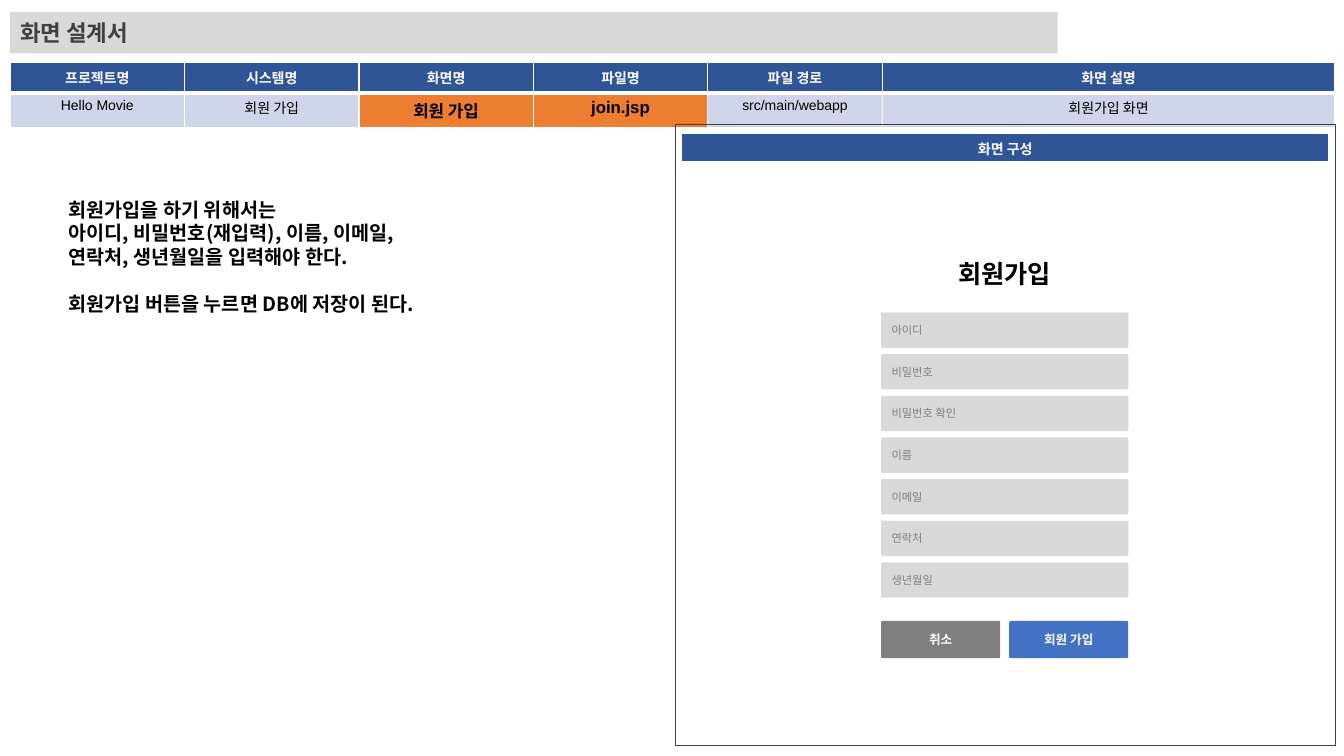
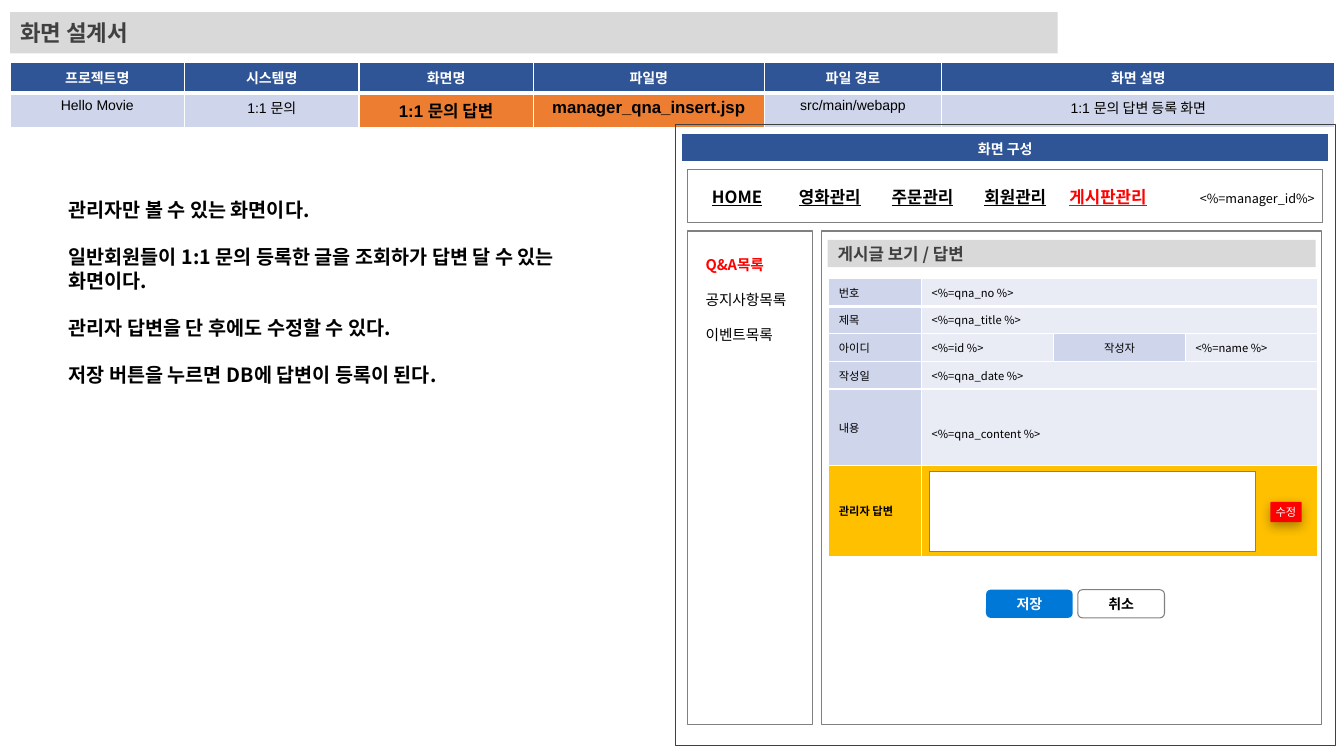
from dataclasses import dataclass, replace

from lxml import etree
from pptx import Presentation
from pptx.dml.color import RGBColor
from pptx.enum.shapes import MSO_SHAPE as Shape
from pptx.enum.text import MSO_ANCHOR as Anchor, MSO_AUTO_SIZE as AutoSize, PP_ALIGN as Align
from pptx.oxml.ns import qn
from pptx.util import Inches, Pt

BLACK = RGBColor(0x00, 0x00, 0x00)
WHITE = RGBColor(0xFF, 0xFF, 0xFF)
CHARCOAL = RGBColor(0x40, 0x40, 0x40)
GRAY = RGBColor(0x80, 0x80, 0x80)
SILVER = RGBColor(0xD9, 0xD9, 0xD9)
NAVY = RGBColor(0x2F, 0x55, 0x97)
BLUE = RGBColor(0x44, 0x72, 0xC4)
SAVE_BLUE = RGBColor(0x00, 0x78, 0xD7)
LABEL_BLUE = RGBColor(0xCF, 0xD5, 0xEA)
VALUE_BLUE = RGBColor(0xE9, 0xEB, 0xF5)
ORANGE = RGBColor(0xED, 0x7D, 0x31)
AMBER = RGBColor(0xFF, 0xC0, 0x00)
RED = RGBColor(0xFF, 0x00, 0x00)

KOREAN_FONT = "Noto Sans CJK KR"


@dataclass(frozen=True)
class Style:
    size: float
    color: RGBColor = BLACK
    bold: bool = False
    font: str = KOREAN_FONT
    align: Align = Align.LEFT
    underline: bool = False


@dataclass(frozen=True)
class Box:
    left: float
    top: float
    width: float
    height: float

    def lengths(self) -> tuple:
        return tuple(Inches(n) for n in (self.left, self.top, self.width, self.height))


@dataclass(frozen=True)
class Screen:
    system: str
    name: str
    file: str
    summary: str
    column_widths: tuple
    description: tuple  # (text, starts a new block)
    description_height: float


TITLE = Style(16, CHARCOAL, True)
DESCRIPTION = Style(14, bold=True)
HEADER = Style(10, WHITE, True, "Arial", Align.CENTER)
INFO = replace(HEADER, color=BLACK, bold=False)
KEY_INFO = replace(INFO, size=12, bold=True)
PANEL_HEADER = replace(HEADER, font=KOREAN_FONT)
FIELD = Style(8, GRAY)
FORM_BUTTON = replace(HEADER, size=9)
MENU = Style(12, bold=True, align=Align.CENTER, underline=True)
SIDE_MENU = Style(10.5)
DETAIL = Style(8)
BUTTON = Style(10, WHITE, True, "Karla", Align.CENTER)

INFO_HEADERS = ("프로젝트명", "시스템명", "화면명", "파일명", "파일 경로", "화면 설명")
FIELDS = ("아이디", "비밀번호", "비밀번호 확인", "이름", "이메일", "연락처", "생년월일")
MENU_ITEMS = ("HOME", "영화관리", "주문관리", "회원관리", "게시판관리")
DETAIL_ROWS = (
    ("번호", "<%=qna_no %>"),
    ("제목", "<%=qna_title %>"),
    ("아이디", "<%=id %>", "작성자", "<%=name %>"),
    ("작성일", "<%=qna_date %>"),
    ("내용", "<%=qna_content %>"),
    ("관리자 답변", ""),
)

JOIN = Screen(
    "회원 가입", "회원 가입", "join.jsp", "회원가입 화면",
    (1.73, 1.73, 1.73, 1.73, 1.73, 4.49),
    (
        ("회원가입을 하기 위해서는", False),
        ("아이디, 비밀번호(재입력), 이름, 이메일,", False),
        ("연락처, 생년월일을 입력해야 한다.", False),
        ("회원가입 버튼을 누르면 DB에 저장이 된다.", True),
    ),
    1.26,
)
ANSWER = Screen(
    "1:1 문의", "1:1 문의 답변", "manager_qna_insert.jsp", "1:1 문의 답변 등록 화면",
    (1.73, 1.73, 1.73, 2.29, 1.76, 3.9),
    (
        ("관리자만 볼 수 있는 화면이다.", False),
        ("일반회원들이 1:1 문의 등록한 글을 조회하가 답변 달 수 있는 화면이다.", True),
        ("관리자 답변을 단 후에도 수정할 수 있다.", True),
        ("저장 버튼을 누르면 DB에 답변이 등록이 된다.", True),
    ),
    1.95,
)


def write(paragraph, text: str, style: Style, space_before: float = 0) -> None:
    paragraph.alignment = style.align
    paragraph.space_before = Pt(space_before)
    run = paragraph.add_run()
    run.text = text
    font = run.font
    font.size, font.bold, font.name = Pt(style.size), style.bold, style.font
    font.color.rgb = style.color
    if style.underline:
        font.underline = True
    east_asian = etree.SubElement(run._r.get_or_add_rPr(), qn("a:ea"))
    east_asian.set("typeface", KOREAN_FONT)


def clear_insets(frame) -> None:
    frame.margin_left = frame.margin_right = frame.margin_top = frame.margin_bottom = 0


def add_box(slide, box: Box, text: str = "", style: Style = DETAIL, fill: RGBColor | None = None,
            line: RGBColor | None = None, weight: float = 1, corner: float | None = None):
    """Draw a rectangle, rounded if a corner ratio is given."""
    kind = Shape.RECTANGLE if corner is None else Shape.ROUNDED_RECTANGLE
    shape = slide.shapes.add_shape(kind, *box.lengths())
    shape.shadow.inherit = False
    if corner is not None:
        shape.adjustments[0] = corner
    if fill is None:
        shape.fill.background()
    else:
        shape.fill.solid()
        shape.fill.fore_color.rgb = fill
    if line is None:
        shape.line.fill.background()
    else:
        shape.line.color.rgb = line
        shape.line.width = Pt(weight)
    if text:
        frame = shape.text_frame
        frame.word_wrap = True
        frame.vertical_anchor = Anchor.MIDDLE
        write(frame.paragraphs[0], text, style)
    return shape


def add_text(slide, box: Box, text: str, style: Style, inset: bool = True):
    frame = slide.shapes.add_textbox(*box.lengths()).text_frame
    frame.word_wrap = True
    if not inset:
        clear_insets(frame)
    write(frame.paragraphs[0], text, style)
    return frame


def add_table(slide, left: float, top: float, widths: tuple, heights: tuple):
    box = Box(left, top, sum(widths), sum(heights))
    table = slide.shapes.add_table(len(heights), len(widths), *box.lengths()).table
    table.first_row = table.horz_banding = False
    for column, width in zip(table.columns, widths):
        column.width = Inches(width)
    for row, height in zip(table.rows, heights):
        row.height = Inches(height)
    return table


def fill_cell(cell, text: str, style: Style, fill: RGBColor, top: float = 1, bottom: float = 1,
              anchor: Anchor = Anchor.TOP) -> None:
    """Fill a cell and give it white borders; top and bottom are points."""
    cell.vertical_anchor = anchor
    properties = cell._tc.get_or_add_tcPr()
    for side, width in (("L", 1), ("R", 1), ("T", top), ("B", bottom)):
        border = etree.SubElement(properties, qn(f"a:ln{side}"), w=str(Pt(width)))
        color = etree.SubElement(border, qn("a:solidFill"))
        etree.SubElement(color, qn("a:srgbClr"), val=str(WHITE))
    cell.fill.solid()
    cell.fill.fore_color.rgb = fill
    paragraph = cell.text_frame.paragraphs[0]
    if text:
        write(paragraph, text, style)
    else:
        paragraph.font.size = Pt(style.size)


def add_description(placeholder, screen: Screen) -> None:
    box = Box(0.58, 1.91, 5.17, screen.description_height)
    placeholder.left, placeholder.top, placeholder.width, placeholder.height = box.lengths()
    frame = placeholder.text_frame
    frame.auto_size = AutoSize.NONE
    for index, (text, new_block) in enumerate(screen.description):
        paragraph = frame.add_paragraph() if index else frame.paragraphs[0]
        properties = paragraph._p.get_or_add_pPr()
        properties.set("marL", "0")
        properties.set("indent", "0")
        etree.SubElement(properties, qn("a:buNone"))
        write(paragraph, text, DESCRIPTION, 17 if new_block else 0)


def add_screen_slide(presentation, screen: Screen):
    """Add a slide with the title band, information table, description and empty panel."""
    slide = presentation.slides.add_slide(presentation.slide_layouts[1])
    title, body = slide.placeholders
    title.left, title.top, title.width, title.height = Box(0.1, 0.12, 10.39, 0.41).lengths()
    title.fill.solid()
    title.fill.fore_color.rgb = SILVER
    title.text_frame.auto_size = AutoSize.NONE
    title.text_frame.vertical_anchor = Anchor.MIDDLE
    write(title.text_frame.paragraphs[0], "화면 설계서", TITLE)
    add_description(body, screen)

    table = add_table(slide, 0.1, 0.62, screen.column_widths, (0.27, 0.3))
    values = ("Hello Movie", screen.system, screen.name, screen.file,
              "src/main/webapp", screen.summary)
    for column, (header, value) in enumerate(zip(INFO_HEADERS, values)):
        fill_cell(table.cell(0, column), header, HEADER, NAVY, bottom=3)
        is_key = value in (screen.name, screen.file) and column in (2, 3)
        style, fill = (KEY_INFO, ORANGE) if is_key else (INFO, LABEL_BLUE)
        fill_cell(table.cell(1, column), value, style, fill, top=3)

    add_box(slide, Box(6.7, 1.23, 6.54, 6.17), line=CHARCOAL, weight=0.5)
    panel_header = add_table(slide, 6.76, 1.32, (6.42,), (0.27,))
    fill_cell(panel_header.cell(0, 0), "화면 구성", PANEL_HEADER, NAVY, bottom=3)
    return slide


def add_join_form(slide) -> None:
    left, width, corner = 8.74, 2.45, 0.04
    add_text(slide, Box(left, 2.51, width, 0.4), "회원가입", Style(18, bold=True, align=Align.CENTER))
    first_top, last_top = 3.1, 5.58
    pitch = (last_top - first_top) / (len(FIELDS) - 1)
    for index, label in enumerate(FIELDS):
        add_box(slide, Box(left, first_top + index * pitch, width, 0.35), label, FIELD,
                SILVER, corner=corner)
    button_width = 1.18
    for button_left, label, fill in ((left, "취소", GRAY),
                                     (left + width - button_width, "회원 가입", BLUE)):
        add_box(slide, Box(button_left, 6.16, button_width, 0.37), label, FORM_BUTTON,
                fill, corner=corner)


def add_menus(slide) -> None:
    for box in (Box(6.82, 1.68, 6.3, 0.53), Box(6.82, 2.29, 1.24, 4.9), Box(8.15, 2.29, 4.96, 4.9)):
        add_box(slide, box, line=GRAY)
    pitch = 0.92
    for index, label in enumerate(MENU_ITEMS):
        style = replace(MENU, color=RED) if label == "게시판관리" else MENU
        add_text(slide, Box(6.85 + index * pitch, 1.85, pitch, 0.2), label, style, inset=False)
    add_text(slide, Box(11.9, 1.89, 1.14, 0.15), "<%=manager_id%>", Style(9), inset=False)
    side_menu = add_text(slide, Box(6.9, 2.49, 1.09, 0.98), "Q&A목록",
                         replace(SIDE_MENU, color=RED, bold=True))
    for label in ("공지사항목록", "이벤트목록"):
        write(side_menu.add_paragraph(), label, SIDE_MENU, 12.5)


def add_detail_table(slide) -> None:
    table = add_table(slide, 8.22, 2.76, (0.92, 1.31, 1.31, 1.31),
                      (0.28, 0.27, 0.28, 0.27, 0.76, 0.9))
    answer_row = len(DETAIL_ROWS) - 1
    for row, texts in enumerate(DETAIL_ROWS):
        for column in range(4):
            text = texts[column] if column < len(texts) else ""
            is_label = column == 0 or (column == 2 and len(texts) == 4)
            fill = AMBER if row == answer_row else LABEL_BLUE if is_label else VALUE_BLUE
            style = replace(DETAIL, bold=row == answer_row,
                            align=Align.CENTER if column == 2 else Align.LEFT)
            fill_cell(table.cell(row, column), text, style, fill, top=3 if row == 1 else 1,
                      bottom=3 if row == 0 else 1, anchor=Anchor.MIDDLE)
        if len(texts) == 2:
            table.cell(row, 1).merge(table.cell(row, 3))
    table.cell(4, 1).margin_top = Inches(0.18)


def add_drop_shadow(shape) -> None:
    effects = shape._element.spPr.find(qn("a:effectLst"))
    shadow = etree.SubElement(effects, qn("a:outerShdw"), blurRad=str(Pt(8)), dist=str(Pt(3)),
                              dir="5400000", algn="t", rotWithShape="0")
    color = etree.SubElement(shadow, qn("a:srgbClr"), val=str(BLACK))
    etree.SubElement(color, qn("a:alpha"), val="35000")


def add_answer_form(slide) -> None:
    add_menus(slide)
    add_box(slide, Box(8.21, 2.38, 4.84, 0.27), "게시글 보기 / 답변",
            Style(12, CHARCOAL, True), SILVER)
    add_detail_table(slide)
    add_box(slide, Box(9.22, 4.68, 3.23, 0.79), fill=WHITE, line=GRAY, weight=0.5)
    add_box(slide, Box(9.78, 5.85, 0.86, 0.28), "저장", BUTTON, SAVE_BLUE, corner=0.17)
    add_box(slide, Box(10.69, 5.85, 0.86, 0.28), "취소", replace(BUTTON, color=BLACK),
            line=GRAY, weight=0.75, corner=0.17)
    edit_button = add_box(slide, Box(12.6, 4.98, 0.31, 0.2), "수정",
                          replace(BUTTON, size=8, bold=False), RED, corner=0.05)
    clear_insets(edit_button.text_frame)
    add_drop_shadow(edit_button)


def main() -> None:
    presentation = Presentation()
    presentation.slide_width, presentation.slide_height = Inches(13.33), Inches(7.5)
    add_join_form(add_screen_slide(presentation, JOIN))
    add_answer_form(add_screen_slide(presentation, ANSWER))
    presentation.save("out.pptx")


if __name__ == "__main__":
    main()
